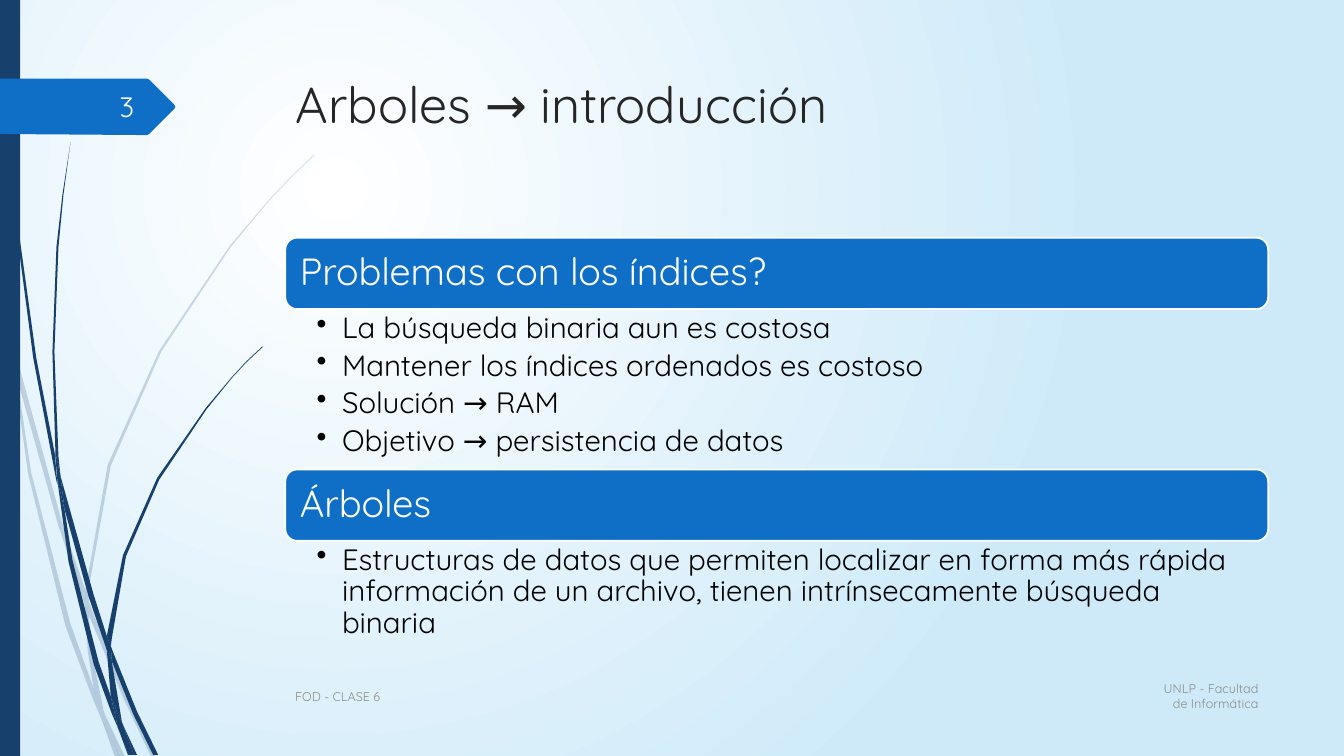
from lxml.etree import SubElement as Sub
from pptx import Presentation as Deck
from pptx.dml.color import RGBColor as Rgb
from pptx.enum.shapes import MSO_SHAPE as Kind
from pptx.enum.text import MSO_ANCHOR as Anchor, PP_ALIGN as Align
from pptx.oxml.ns import qn
from pptx.util import Cm, Pt

HUES = {"navy": "17406D", "blue": "0F6FC6", "white": "FFFFFF", "sky": "CEEAF9",
        "ink": "262626", "black": "000000", "grey": "8C8C8C", "snow": "FEFFFF"}
GRID = Cm(2.54) / 100

PALE = [
    (11, 350, 9, 322, 0, 282, 0, 299, 10, 344),
    (58, 522, 84, 599, 85, 586, 62, 520, 14, 345, 17, 376),
    (92, 607, 88, 596, 88, 610, 123, 694, 150, 751, 155, 751, 127, 692),
    (119, 751, 124, 751, 105, 711),
    (93, 683, 70, 619, 31, 469, 17, 376, 11, 350, 28, 470, 65, 621, 92, 693,
     101, 714, 99, 707),
    (84, 599, 87, 646, 93, 683, 96, 692, 105, 711, 103, 706, 91, 646, 88, 610,
     88, 608),
    (88, 584, 110, 462, 160, 349, 229, 245, 268, 198, 290, 175, 312, 154, 312, 153,
     289, 175, 268, 197, 228, 244, 158, 348, 107, 461, 85, 584, 85, 586, 88, 596),
    (101, 714, 114, 751, 119, 751),
    (88, 608, 88, 610, 88, 596, 85, 586, 84, 599),
    (96, 692, 93, 683, 99, 707, 101, 714, 119, 751, 105, 711),
]
DARK = [
    (7, 110, 17, 233, 33, 355, 56, 477, 57, 481, 55, 457, 55, 453, 36, 355,
     19, 232, 8, 109, 5, 48, 4, 0, 3, 0, 4, 48),
    (88, 592, 106, 645, 106, 633, 106, 631, 93, 590, 60, 472, 64, 505),
    (113, 649, 110, 641, 111, 656, 132, 708, 152, 749, 157, 749, 136, 706),
    (110, 691, 98, 657, 72, 556, 64, 505, 57, 477, 68, 557, 93, 659, 111, 708,
     117, 722, 116, 717),
    (60, 472, 58, 453, 54, 349, 58, 245, 63, 193, 70, 141, 62, 193, 56, 245,
     52, 349, 55, 449),
    (133, 749, 136, 749, 122, 719),
    (57, 477, 64, 505, 60, 472, 55, 449, 55, 453),
    (111, 633, 125, 552, 158, 476, 205, 406, 231, 374, 245, 359, 261, 344, 260, 344,
     245, 358, 231, 373, 204, 405, 156, 474, 122, 551, 106, 631, 110, 641),
    (117, 722, 127, 749, 131, 749),
    (106, 645, 110, 691, 116, 706, 122, 719, 121, 716, 111, 656, 109, 651),
    (106, 645, 109, 651, 111, 656, 110, 641, 106, 631, 106, 633),
    (116, 706, 110, 691, 116, 717, 117, 722, 130, 749, 133, 749, 122, 719),
]
TAG = (0, 78, 146, 78, 148, 79, 173, 104, 174, 106, 173, 108, 148, 133, 146, 134,
       136, 134, 0, 133)

TOPICS = [
    ("Problemas con los índices?", 4.04,
     ["La búsqueda binaria aun es costosa",
      "Mantener los índices ordenados es costoso",
      "Solución → RAM",
      "Objetivo → persistencia de datos"]),
    ("Árboles", 2.72,
     ["Estructuras de datos que permiten localizar en forma más rápida información "
      "de un archivo, tienen intrínsecamente búsqueda binaria"]),
]


def apply(thing, form):
    for key, value in form.items():
        setattr(thing, key, value)


class Page:
    face = "Quicksand"

    def __init__(self, deck):
        self.slide = deck.slides.add_slide(deck.slide_layouts[6])
        self.shapes = self.slide.shapes

    def glow(self, inner, outer):
        fill = self.slide.background.fill
        fill.gradient()
        for stop, hue in zip(fill.gradient_stops, (inner, outer)):
            stop.color.rgb = Rgb.from_string(HUES[hue])
        line = next(self.slide.element.iter(qn("a:lin")))
        grad = line.getparent()
        grad.remove(line)
        ring = Sub(grad, qn("a:path"), path="circle")
        Sub(ring, qn("a:fillToRect"), l="50000", t="50000", r="100000", b="100000")

    def paint(self, shape, hue, edge=None, alpha=None):
        shape.shadow.inherit = False
        shape.fill.solid()
        shape.fill.fore_color.rgb = Rgb.from_string(HUES[hue])
        if alpha:
            tint = next(shape.element.spPr.iter(qn("a:srgbClr")))
            Sub(tint, qn("a:alpha"), val=str(alpha * 1000))
        if edge:
            shape.line.color.rgb = Rgb.from_string(HUES[edge])
            shape.line.width = Pt(1.25)
        else:
            shape.line.fill.background()

    def outline(self, flat, hue, alpha=None):
        dots = list(zip(flat[::2], flat[1::2]))
        pen = self.shapes.build_freeform(*dots[0], scale=GRID)
        pen.add_line_segments(dots[1:], close=True)
        self.paint(pen.convert_to_shape(), hue, alpha=alpha)

    def block(self, kind, area, hue, edge=None):
        shape = self.shapes.add_shape(kind, *map(Cm, area))
        self.paint(shape, hue, edge)
        return shape

    def letter(self, shape, lines, size, hue, frame=None, para=None, dot=False):
        box = shape.text_frame
        apply(box, {"word_wrap": True, **(frame or {})})
        for at, words in enumerate(lines):
            item = box.add_paragraph() if at else box.paragraphs[0]
            apply(item, {"alignment": Align.LEFT, **(para or {})})
            if dot:
                props = item._p.get_or_add_pPr()
                for key, value in {"marL": Cm(0.64), "indent": Cm(-0.64)}.items():
                    props.set(key, str(int(value)))
                Sub(props, qn("a:buChar"), char="•")
            run = item.add_run()
            run.text = words
            apply(run.font, {"name": self.face, "size": Pt(size)})
            run.font.color.rgb = Rgb.from_string(HUES[hue])

    def label(self, area, lines, size, hue, **form):
        self.letter(self.shapes.add_textbox(*map(Cm, area)), lines, size, hue, **form)

    def topic(self, top, head, tall, points):
        left, wide, bar = 7.19, 24.77, 1.8
        inset = dict.fromkeys(("margin_left", "margin_right", "margin_top",
                               "margin_bottom"), Cm(0.28))
        shape = self.block(Kind.ROUNDED_RECTANGLE, (left, top, wide, bar), "blue", "white")
        self.letter(shape, [head], 27, "white",
                    frame={"vertical_anchor": Anchor.MIDDLE, **inset},
                    para={"line_spacing": 0.9})
        self.label((left, top + bar, wide, tall), points, 21, "black", dot=True,
                   frame={"margin_left": Cm(0.79), "margin_right": Cm(0.53),
                          "margin_top": Cm(0.1), "margin_bottom": Cm(0.1)},
                   para={"line_spacing": 0.9, "space_after": Pt(4.2)})
        return top + bar + tall


def main():
    deck = Deck()
    apply(deck, {"slide_width": Cm(33.87), "slide_height": Cm(19.05)})
    page = Page(deck)
    page.glow("white", "sky")
    for group, alpha in ((PALE, 20), (DARK, None)):
        for flat in group:
            page.outline(flat, "navy", alpha)
    page.block(Kind.RECTANGLE, (0, 0, 0.51, 19.05), "navy")
    page.outline(TAG, "blue")
    page.label((7.21, 1.73, 24.77, 3.56), ["Arboles → introducción"], 36, "ink")
    top = 5.99
    for head, tall, points in TOPICS:
        top = page.topic(top, head, tall, points)
    mid = {"vertical_anchor": Anchor.MIDDLE}
    right = {"alignment": Align.RIGHT}
    page.label((28.78, 17.02, 3.18, 1.04), ["UNLP - Facultad de Informática"], 9, "grey",
               frame=mid, para=right)
    page.label((7.19, 17.04, 21.16, 1.02), ["FOD - CLASE 6"], 9, "grey", frame=mid)
    page.label((1.47, 2.18, 2.16, 1.02), ["3"], 20, "snow", frame=mid, para=right)
    deck.save("out.pptx")


if __name__ == "__main__":
    main()
